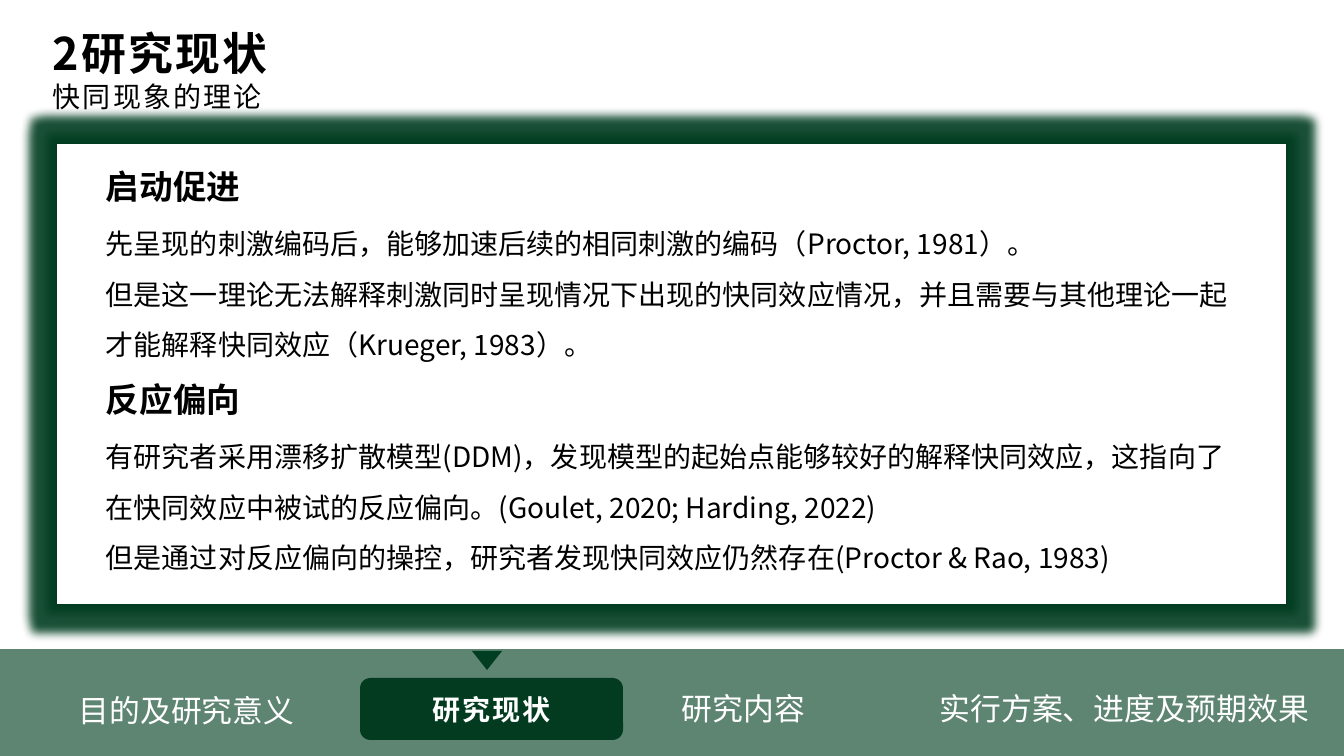
"""Build the slide on theories of the fast-same phenomenon."""
from lxml import etree
from pptx import Presentation, util as u
from pptx.dml.color import RGBColor
from pptx.enum import shapes, text
from pptx.oxml.ns import qn

FONT = "Noto Sans CJK SC"
COLORS = {"green": "013D21", "dark": "023B1F", "white": "FFFFFF", "black": "000000"}
TITLE, SUBTITLE = "2研究现状", "快同现象的理论"
THEORIES = [
    ("启动促进", 161, [
        "先呈现的刺激编码后，能够加速后续的相同刺激的编码（Proctor, 1981）。",
        "但是这一理论无法解释刺激同时呈现情况下出现的快同效应情况，并且需要与其他理论一起才能解释快同效应（Krueger, 1983）。",
    ]),
    ("反应偏向", 374, [
        "有研究者采用漂移扩散模型(DDM)，发现模型的起始点能够较好的解释快同效应，这指向了在快同效应中被试的反应偏向。(Goulet, 2020; Harding, 2022)",
        "但是通过对反应偏向的操控，研究者发现快同效应仍然存在(Proctor & Rao, 1983)",
    ]),
]
CURRENT_SECTION = "研究现状"
OTHER_SECTIONS = [
    ("目的及研究意义", (69, 687, 241, 47), False),
    ("研究内容", (672, 685, 238, 47), True),
    ("实行方案、进度及预期效果", (930, 685, 393, 47), False),
]
PX = 9071


def px(*lengths):
    return [u.Emu(length * PX) for length in lengths]


def add_block(slide, kind, box, fill, line=None):
    block = slide.shapes.add_shape(kind, *px(*box))
    block.shadow.inherit = False
    block.fill.solid()
    block.fill.fore_color.rgb = RGBColor.from_string(COLORS[fill])
    if line:
        block.line.color.rgb = RGBColor.from_string(COLORS[line])
        block.line.width = u.Pt(1)
    else:
        block.line.fill.background()
    return block


def write(frame, lines, color, spacing=None, tracking=None, align=None):
    for i, (words, size, bold) in enumerate(lines):
        paragraph = frame.paragraphs[0] if i == 0 else frame.add_paragraph()
        paragraph.text = words
        paragraph.alignment = align
        paragraph.line_spacing = spacing
        font = paragraph.font
        font.name, font.size, font.bold = FONT, u.Pt(size), bold
        font.color.rgb = RGBColor.from_string(COLORS[color])
        defaults = paragraph._p.pPr.find(qn("a:defRPr"))
        etree.SubElement(defaults, qn("a:ea"), typeface=FONT)
        if tracking:
            defaults.set("spc", str(tracking))


def add_text(slide, box, lines, color, wrap=True, **style):
    frame = slide.shapes.add_textbox(*px(*box)).text_frame
    frame.word_wrap = wrap
    write(frame, lines, color, **style)


def add_alpha(color_node, percent):
    etree.SubElement(color_node, qn("a:alpha"), val=str(percent * 1000))


def add_glow(block, color, radius, percent):
    effects = block._element.spPr.find(qn("a:effectLst"))
    glow = etree.SubElement(effects, qn("a:glow"), rad=str(radius * PX))
    add_alpha(etree.SubElement(glow, qn("a:srgbClr"), val=COLORS[color]), percent)


def main():
    deck = Presentation()
    deck.slide_width, deck.slide_height = px(1344, 756)
    slide = deck.slides.add_slide(deck.slide_layouts[6])
    preset = shapes.MSO_SHAPE

    bar = add_block(slide, preset.RECTANGLE, (-25, 649, 1390, 146), "green")
    add_alpha(bar._element.spPr.find(qn("a:solidFill"))[0], 63)
    panel = add_block(slide, preset.RECTANGLE, (56, 143, 1231, 462), "white", "dark")
    add_glow(panel, "green", 18, 90)

    tab = add_block(slide, preset.ROUNDED_RECTANGLE, (360, 678, 263, 62), "dark")
    tab.text_frame.vertical_anchor = text.MSO_ANCHOR.MIDDLE
    write(tab.text_frame, [(CURRENT_SECTION, 20, True)], "white",
          tracking=150, align=text.PP_ALIGN.CENTER)
    pointer = add_block(slide, preset.ISOSCELES_TRIANGLE, (472, 651, 30, 19), "green")
    pointer.rotation = 180

    add_text(slide, (43, 21, 386, 152), [(TITLE, 32, True), (SUBTITLE, 20, False)],
             "black", tracking=150)
    for section, box, wrap in OTHER_SECTIONS:
        add_text(slide, box, [(section, 22, False)], "white", wrap)
    for heading, top, claims in THEORIES:
        add_text(slide, (96, top + 44, 1146, 156),
                 [(claim, 20, False) for claim in claims], "black", spacing=1.5)
        add_text(slide, (96, top, 696, 50), [(heading, 24, True)], "black")

    deck.save("out.pptx")


if __name__ == "__main__":
    main()
